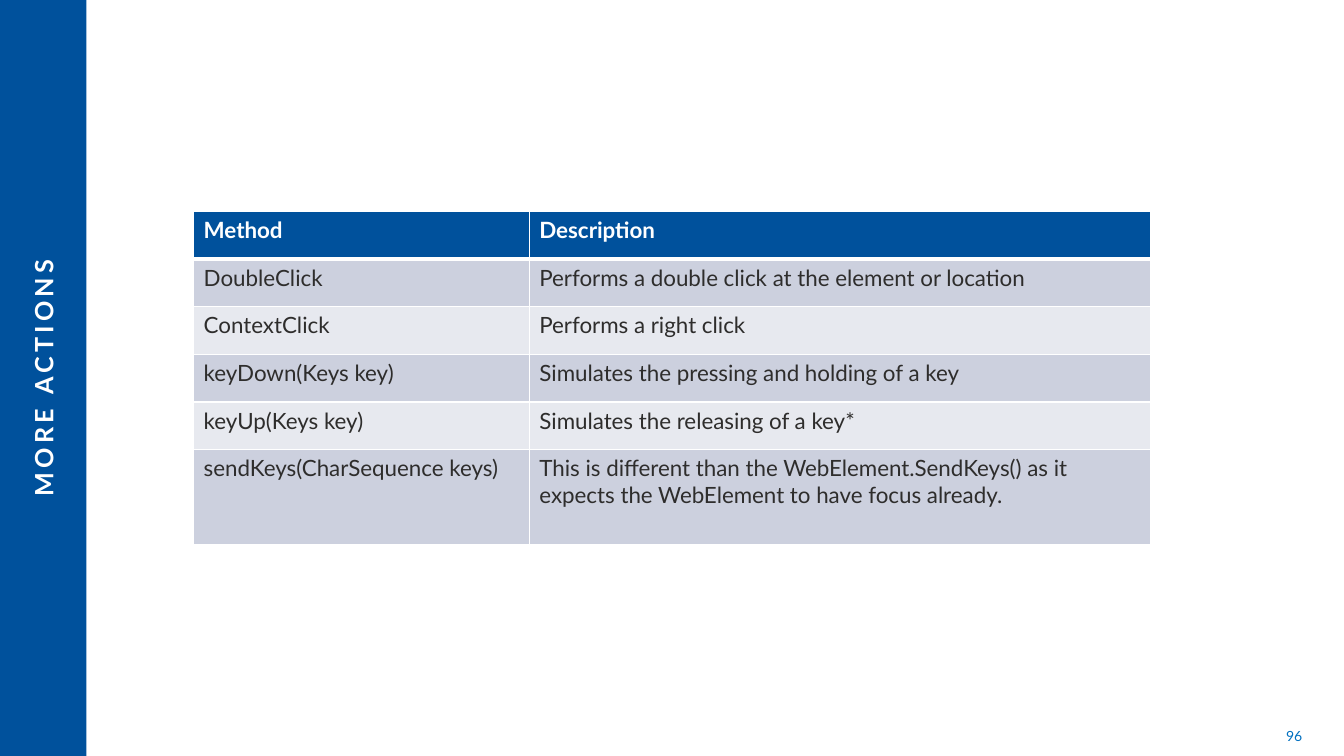
from lxml.etree import SubElement
from pptx import Presentation
from pptx.dml.color import RGBColor
from pptx.enum.shapes import MSO_SHAPE
from pptx.enum.text import MSO_ANCHOR, PP_ALIGN
from pptx.oxml.ns import qn
from pptx.util import Cm, Pt

BLUE, WHITE, INK = "00519C", "FFFFFF", "2E2D2C"
BANDS = ("CCD0DE", "E7E9EF")
THIN, THICK = Pt(0.96), Pt(3)
COLUMN_WIDTHS = (8.46, 15.65)
ROW_HEIGHTS = (1.2, 1.2, 1.2, 1.2, 1.2, 2.4)
METHODS = (
    ("Method", "Description"),
    ("DoubleClick", "Performs a double click at the element or location"),
    ("ContextClick", "Performs a right click"),
    ("keyDown(Keys key)", "Simulates the pressing and holding of a key"),
    ("keyUp(Keys key)", "Simulates the releasing of a key*"),
    ("sendKeys(CharSequence keys)",
     "This is different than the WebElement.SendKeys() as it "
     "expects the WebElement to have focus already."),
)


def paint(color_format, color):
    """Set a fill or font colour from a hex string."""
    color_format.rgb = RGBColor.from_string(color)


def fill_solid(fill, color):
    """Give a fill one solid colour."""
    fill.solid()
    paint(fill.fore_color, color)


def write(paragraph, words, color, size, bold=False):
    """Add a formatted run to a paragraph and return it."""
    run = paragraph.add_run()
    run.text = words
    font_format = {"name": "Lato", "size": Pt(size), "bold": bold}
    for attribute, value in font_format.items():
        setattr(run.font, attribute, value)
    paint(run.font.color, color)
    return run


def add_sidebar(slide):
    """Draw the blue band along the left edge."""
    sidebar = slide.shapes.add_shape(MSO_SHAPE.RECTANGLE, 0, 0, Cm(2.18), Cm(19.1))
    sidebar.shadow.inherit = False
    fill_solid(sidebar.fill, BLUE)
    sidebar.line.fill.background()


def add_label(slide, words, place, align, color, size, bold=False, rotation=0, spacing=0):
    """Add a single line of text, optionally rotated and letter-spaced."""
    label = slide.shapes.add_textbox(*map(Cm, place))
    label.rotation = rotation
    frame_format = {"word_wrap": True, "vertical_anchor": MSO_ANCHOR.MIDDLE,
                    "margin_top": 0, "margin_bottom": 0}
    for attribute, value in frame_format.items():
        setattr(label.text_frame, attribute, value)
    line = label.text_frame.paragraphs[0]
    line.alignment = align
    run = write(line, words, color, size, bold)
    if spacing:
        run.font._element.set("spc", str(spacing * 100))


def add_borders(cell, top, bottom):
    """Outline a cell in white with the given top and bottom widths."""
    properties = cell._tc.get_or_add_tcPr()
    for side, width in {"L": THIN, "R": THIN, "T": top, "B": bottom}.items():
        border = SubElement(properties, qn(f"a:ln{side}"), w=str(int(width)))
        solid = SubElement(border, qn("a:solidFill"))
        SubElement(solid, qn("a:srgbClr"), val=WHITE)


def add_methods_table(slide):
    """Build the table of methods with a header and banded rows."""
    table = slide.shapes.add_table(
        len(METHODS), len(COLUMN_WIDTHS), Cm(4.88), Cm(5.33),
        Cm(sum(COLUMN_WIDTHS)), Cm(sum(ROW_HEIGHTS))).table
    for column, width in zip(table.columns, COLUMN_WIDTHS):
        column.width = Cm(width)
    for index, (row, height, entries) in enumerate(zip(table.rows, ROW_HEIGHTS, METHODS)):
        row.height = Cm(height)
        header = index == 0
        for cell, words in zip(row.cells, entries):
            add_borders(cell, THICK if index == 1 else THIN, THICK if header else THIN)
            fill_solid(cell.fill, BLUE if header else BANDS[(index - 1) % 2])
            write(cell.text_frame.paragraphs[0], words, WHITE if header else INK, 16, header)


def main():
    """Build and save the slide."""
    presentation = Presentation()
    presentation.slide_width, presentation.slide_height = Cm(33.87), Cm(19.05)
    slide = presentation.slides.add_slide(presentation.slide_layouts[6])
    add_sidebar(slide)
    add_label(slide, "96", (25.17, 18.03, 7.9, 1.02), PP_ALIGN.RIGHT, "0070C0", 10)
    add_label(slide, "MORE ACTIONS", (-8.66, 9.12, 19.51, 0.81), PP_ALIGN.CENTER,
              WHITE, 18, bold=True, rotation=270, spacing=3)
    add_methods_table(slide)
    presentation.save("out.pptx")


if __name__ == "__main__":
    main()
